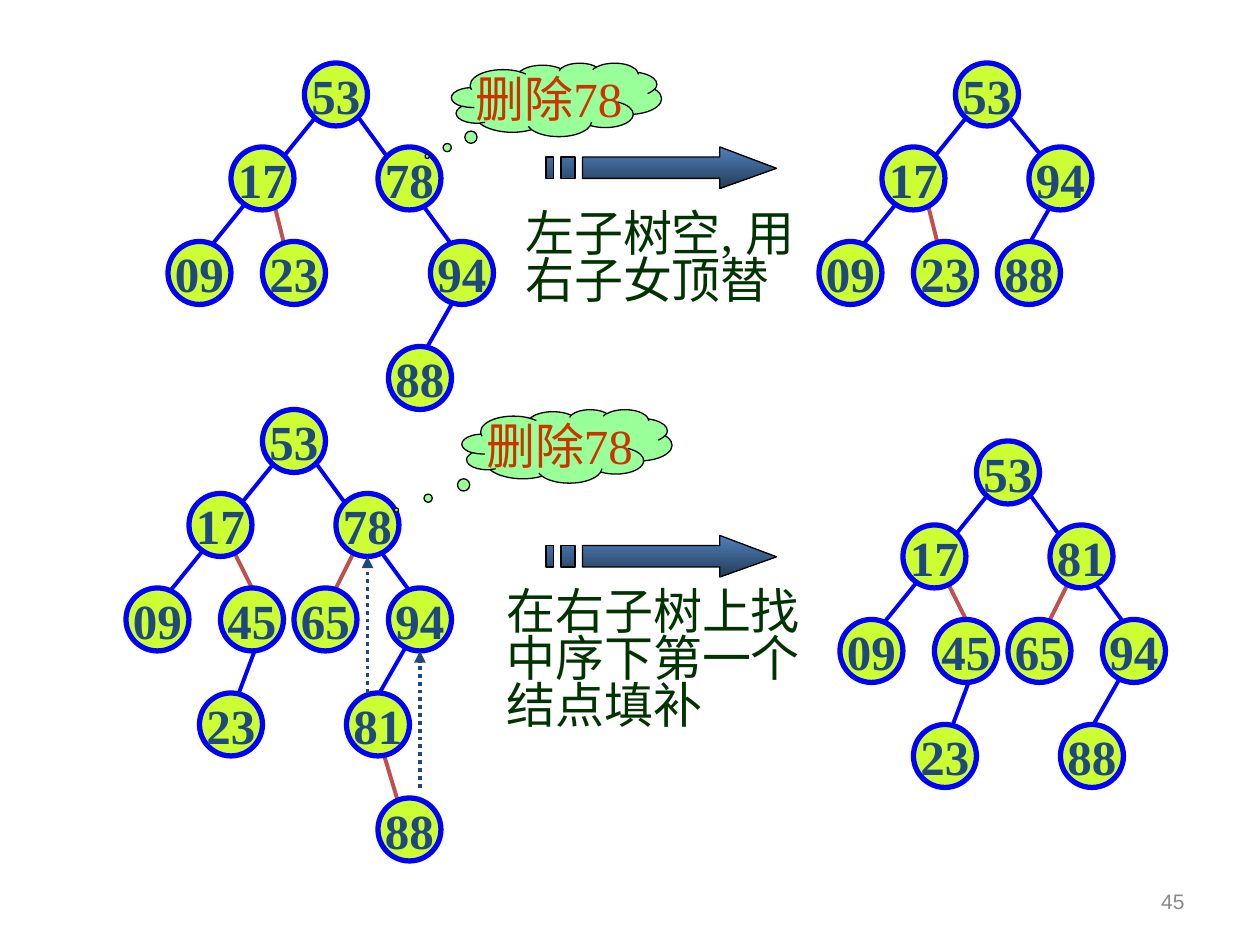
import lxml.etree
import pptx
import pptx.dml.color
import pptx.enum.dml
import pptx.enum.shapes
import pptx.enum.text
import pptx.oxml.ns
import pptx.util

Inches = pptx.util.Inches
Pt = pptx.util.Pt
RGBColor = pptx.dml.color.RGBColor
SHAPE = pptx.enum.shapes.MSO_SHAPE
ALIGN = pptx.enum.text.PP_ALIGN
ANCHOR = pptx.enum.text.MSO_ANCHOR
qn = pptx.oxml.ns.qn

BLUE = RGBColor(0x00, 0x00, 0xFF)
RED = RGBColor(0xC0, 0x50, 0x4D)
NAVY = RGBColor(0x1F, 0x49, 0x7D)
LIME = RGBColor(0xCC, 0xFF, 0x33)
MINT = RGBColor(0x99, 0xFF, 0x99)
RUST = RGBColor(0xCC, 0x33, 0x00)
FOREST = RGBColor(0x00, 0x33, 0x00)
BLACK = RGBColor(0x00, 0x00, 0x00)
GRAY = RGBColor(0x89, 0x89, 0x89)
ARROW_TOP = RGBColor(0x4F, 0x81, 0xBD)
ARROW_BOTTOM = RGBColor(0x25, 0x3C, 0x57)

SERIF = "Times New Roman"
NODE = 6  # node diameter in grid steps

# Trees lie on a grid of 1/12 inch, measured from the top left of each tree.
# Nodes: (key, column, row). Edges: (x1, y1, x2, y2, colour).
SHARED_NODES = [("53", 13, 0), ("17", 6, 8), ("09", 0, 17)]
LEFT_EDGE = (15, 4, 2, 20, BLUE)
RIGHT_EDGE = (18, 5, 29, 20, BLUE)

# Parts that both lower trees have
LOWER_NODES = SHARED_NODES + [("45", 9, 17), ("65", 16, 17), ("94", 25, 17), ("23", 7, 27)]
LOWER_EDGES = [
    (22, 13, 19, 19, RED), (13, 21, 10, 29, BLUE), (10, 13, 13, 19, RED),
    LEFT_EDGE, (27, 22, 23, 29, BLUE), RIGHT_EDGE,
]

# (left, top, nodes, edges)
TREES = [
    (16, 6,
     SHARED_NODES + [("78", 20, 8), ("23", 9, 17), ("94", 25, 17), ("88", 21, 27)],
     [(10, 13, 12, 21, RED), LEFT_EDGE, (27, 23, 23, 30, BLUE), RIGHT_EDGE]),
    (78, 6,
     SHARED_NODES + [("94", 20, 8), ("23", 9, 17), ("88", 17, 17)],
     [(10, 12, 12, 20, RED), LEFT_EDGE, (23, 12, 19, 19, BLUE), (18, 5, 23, 11, BLUE)]),
    (12, 39,
     LOWER_NODES + [("78", 20, 8), ("81", 21, 27), ("88", 24, 37)],
     LOWER_EDGES + [(24, 31, 27, 41, RED)]),
    (80, 42,
     LOWER_NODES + [("81", 20, 8), ("88", 21, 27)],
     LOWER_EDGES),
]


def grid(steps):
    return Inches(steps / 12)


def add_run(sp, text, size, color, font=SERIF, bold=False, align=ALIGN.LEFT):
    p = sp.text_frame.paragraphs[0]
    p.alignment = align
    r = p.add_run()
    r.text = text
    r.font.name = font
    r.font.size = Pt(size)
    r.font.bold = bold
    r.font.color.rgb = color
    return p


def add_line(slide, x1, y1, x2, y2, color):
    line = slide.shapes.add_connector(
        pptx.enum.shapes.MSO_CONNECTOR.STRAIGHT, grid(x1), grid(y1), grid(x2), grid(y2))
    line.line.color.rgb = color
    line.line.width = Pt(2.25)
    lxml.etree.SubElement(line._element.spPr, qn("a:effectLst"))
    return line


def add_label_shape(slide, kind, box, fill, line, width, text, color, bold):
    sp = slide.shapes.add_shape(kind, *box)
    sp.shadow.inherit = False
    sp.fill.solid()
    sp.fill.fore_color.rgb = fill
    sp.line.color.rgb = line
    sp.line.width = Pt(width)
    sp.text_frame.word_wrap = False
    sp.text_frame.vertical_anchor = ANCHOR.MIDDLE
    add_run(sp, text, 28, color, bold=bold, align=ALIGN.CENTER)
    return sp


def add_tree(slide, left, top, nodes, edges):
    # Edges go behind the nodes
    for x1, y1, x2, y2, color in edges:
        add_line(slide, left + x1, top + y1, left + x2, top + y2, color)
    for key, column, row in nodes:
        box = (grid(left + column), grid(top + row), grid(NODE), grid(NODE))
        add_label_shape(slide, SHAPE.OVAL, box, LIME, BLUE, 3, key, NAVY, True)


def add_cloud(slide, left, top, tail):
    box = (grid(left), grid(top), grid(20), grid(7))
    sp = add_label_shape(slide, SHAPE.CLOUD_CALLOUT, box, MINT, BLACK, 0.75,
                         "删除78", RUST, False)
    sp.adjustments[0], sp.adjustments[1] = tail


def add_striped_arrow(slide, left, top):
    def bar(x1, x2):
        return [(x1, 0.08), (x1, 0.25), (x2, 0.25), (x2, 0.08)]

    head = [(1.38, 0), (1.38, 0.08), (0.29, 0.08), (0.29, 0.25),
            (1.38, 0.25), (1.38, 0.33), (1.83, 0.17)]
    outlines = [[(left + Inches(x), top + Inches(y)) for x, y in part]
                for part in (head, bar(0.12, 0.23), bar(0, 0.06))]
    builder = slide.shapes.build_freeform(*outlines[0][0])
    builder.add_line_segments(outlines[0][1:], close=True)
    for outline in outlines[1:]:
        builder.move_to(*outline[0])
        builder.add_line_segments(outline[1:], close=True)
    sp = builder.convert_to_shape()
    sp.shadow.inherit = False
    sp.fill.gradient()
    sp.fill.gradient_angle = 270
    for stop, color in zip(sp.fill.gradient_stops, (ARROW_TOP, ARROW_BOTTOM)):
        stop.color.rgb = color
    sp.line.color.rgb = BLACK
    sp.line.width = Pt(0.75)


def add_rule_text(slide, left, top, width, text):
    sp = slide.shapes.add_textbox(left, top, width, Inches(1.22))
    sp.text_frame.word_wrap = True
    sp.text_frame.auto_size = pptx.enum.text.MSO_AUTO_SIZE.SHAPE_TO_FIT_TEXT
    add_run(sp, text, 28, FOREST).line_spacing = 0.8


def add_move_arrow(slide, x, y_from, y_to):
    arrow = add_line(slide, x, y_from, x, y_to, NAVY)
    arrow.line.dash_style = pptx.enum.dml.MSO_LINE.ROUND_DOT
    lxml.etree.SubElement(arrow.line._get_or_add_ln(), qn("a:tailEnd"), type="triangle")


def add_page_number(slide, left, top, width, height):
    sp = slide.shapes.add_textbox(left, top, width, height)
    sp.text_frame.word_wrap = True
    sp.text_frame.vertical_anchor = ANCHOR.MIDDLE
    add_run(sp, "45", 12, GRAY, font="Arial", align=ALIGN.RIGHT)


def main():
    prs = pptx.Presentation()
    prs.slide_width, prs.slide_height = Inches(10), Inches(7.5)
    slide = prs.slides.add_slide(prs.slide_layouts[6])

    add_page_number(slide, Inches(7.17), Inches(6.95), Inches(2.33), Inches(0.4))
    for tree in TREES:
        add_tree(slide, *tree)

    # Upper case: the left subtree is empty
    add_cloud(slide, 43, 6, (-0.616, 0.771))
    add_striped_arrow(slide, grid(52), grid(14))
    add_rule_text(slide, Inches(4.07), Inches(1.65), Inches(2.43), "左子树空, 用右子女顶替")

    # Lower case: both subtrees are present
    add_cloud(slide, 44, 39, (-0.812, 0.869))
    add_striped_arrow(slide, grid(52), grid(51))
    add_rule_text(slide, Inches(3.92), Inches(4.65), Inches(2.58),
                  "在右子树上找中序下第一个结点填补")
    add_move_arrow(slide, 35, 66, 53)
    add_move_arrow(slide, 40, 75, 62)

    prs.save("out.pptx")


if __name__ == "__main__":
    main()
